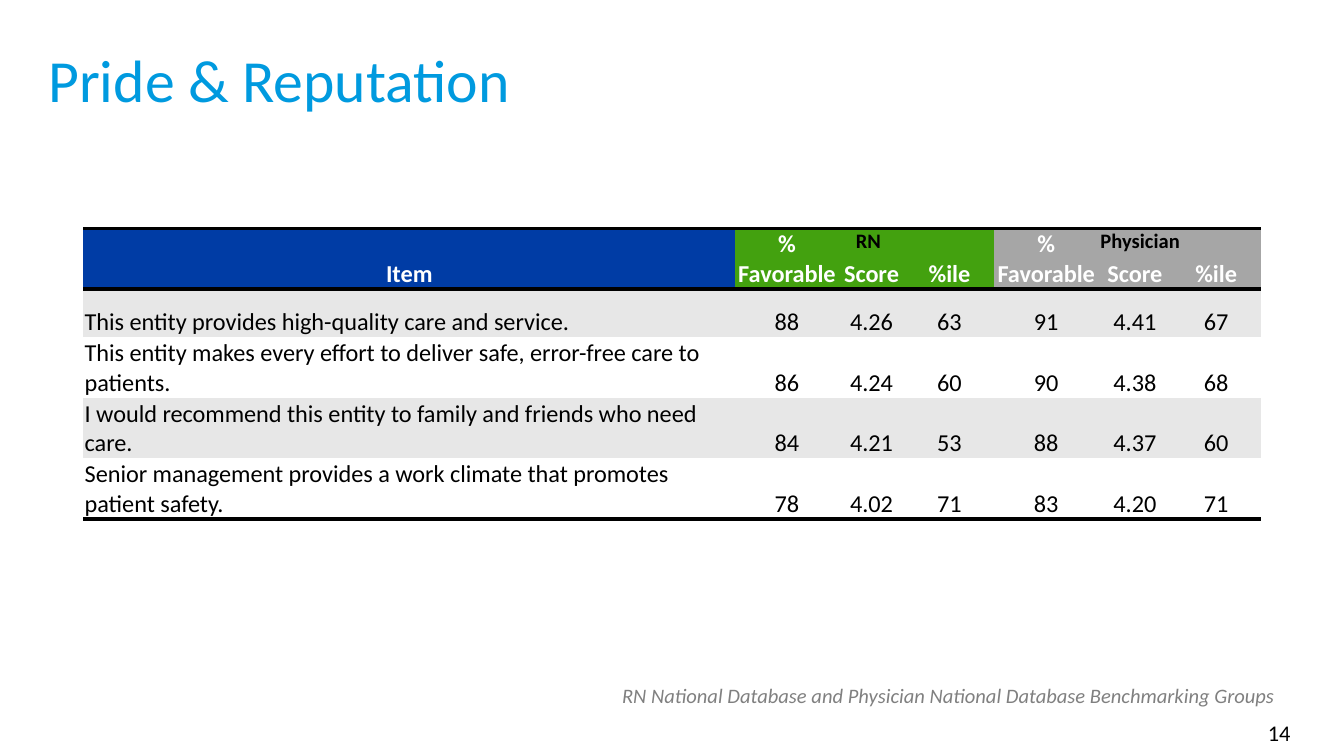
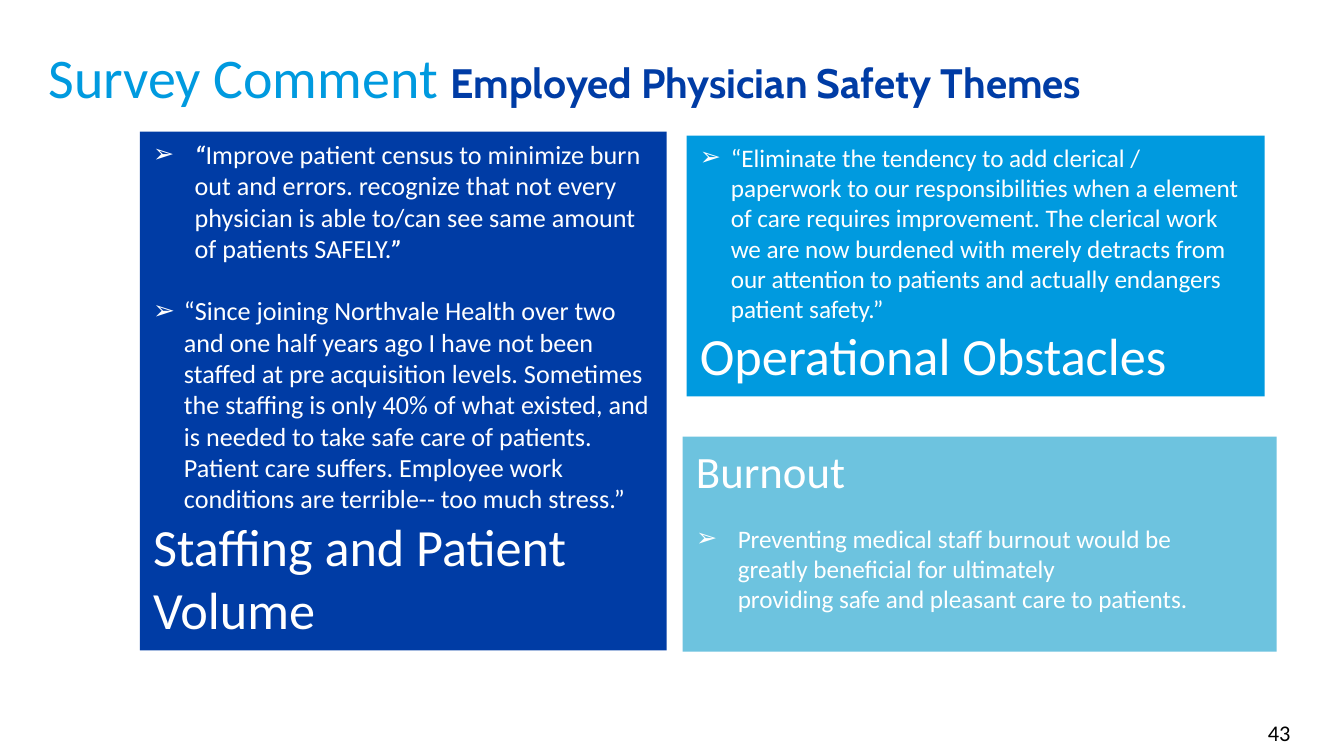
from dataclasses import dataclass
from typing import Any, NamedTuple

from lxml import etree
from pptx import Presentation
from pptx.dml.color import RGBColor
from pptx.enum.shapes import MSO_SHAPE
from pptx.enum.text import MSO_ANCHOR, MSO_AUTO_SIZE, PP_ALIGN
from pptx.oxml.ns import qn
from pptx.util import Emu, Pt

LEFT, MID, RIGHT = PP_ALIGN.LEFT, PP_ALIGN.CENTER, PP_ALIGN.RIGHT
TOP, BOTTOM = MSO_ANCHOR.TOP, MSO_ANCHOR.BOTTOM
RECT, FIXED = MSO_SHAPE.RECTANGLE, MSO_AUTO_SIZE.NONE
SCALE = 9144  # EMU per px, 100 px to the inch
WIDE = 1000
PLAIN = "{2D5ABB26-0587-4C30-8999-92F81FD0307C}"  # table style without grid
NB = chr(160)  # space that does not break


@dataclass(frozen=True)
class Theme:
    face: str = "Calibri"
    accent: str = "Cabin"
    mark: str = "Arial"
    navy: str = "003CA5"
    sky: str = "009ADF"
    pale: str = "6DC3DF"
    green: str = "43A10F"
    gray: str = "A6A6A6"
    band: str = "E7E7E7"
    dim: str = "808080"
    white: str = "FFFFFF"
    black: str = "000000"
    title: float = 32
    lead: float = 30
    theme: float = 22
    head: float = 28
    sub: float = 24
    quote: float = 14
    small: float = 13.5
    cell: float = 13
    page: float = 12
    note: float = 11
    rule: float = 2


T = Theme()


class Box(NamedTuple):
    x: int
    y: int
    w: int
    h: int


@dataclass(frozen=True)
class Bit:
    text: str
    size: float
    color: str = T.white
    bold: bool = False
    italic: bool = False
    face: str = T.face


@dataclass(frozen=True)
class Para:
    bits: tuple[Bit, ...]
    hang: int = 0
    gap: float = 0
    align: Any = LEFT


@dataclass(frozen=True)
class Panel:
    box: Box
    fill: str
    paras: tuple[Para, ...]


def px(n: int) -> Emu:
    return Emu(n * SCALE)


def line(text: str, size: float, color: str = T.white, align: Any = LEFT,
         bold: bool = False, italic: bool = False) -> Para:
    return Para((Bit(text, size, color, bold, italic),), align=align)


def paint(item: Any, color: str) -> None:
    item.fill.solid()
    item.fill.fore_color.rgb = RGBColor.from_string(color)


def bullet(para: Any, hang: int) -> None:
    props = para._p.get_or_add_pPr()
    props.set("marL", str(px(hang)))
    props.set("indent", str(-px(hang)))
    etree.SubElement(props, qn("a:buFont")).set("typeface", T.mark)
    etree.SubElement(props, qn("a:buChar")).set("char", "➢")


def write(frame: Any, paras: tuple[Para, ...]) -> None:
    for i, item in enumerate(paras):
        para = frame.add_paragraph() if i else frame.paragraphs[0]
        if item.hang:
            bullet(para, item.hang)
        para.alignment = item.align
        para.space_before = Pt(item.gap)
        for bit in item.bits:
            run = para.add_run()
            run.text = bit.text
            font = run.font
            font.name, font.size = bit.face, Pt(bit.size)
            font.bold, font.italic = bit.bold, bit.italic
            font.color.rgb = RGBColor.from_string(bit.color)


def fit(shape: Any, paras: tuple[Para, ...], wrap: bool = True) -> None:
    """Fill a shape's frame from the top, keeping the shape's size."""
    frame = shape.text_frame
    frame.auto_size, frame.word_wrap = FIXED, wrap
    frame.vertical_anchor = TOP
    write(frame, paras)


def place(shape: Any, box: Box) -> None:
    shape.left, shape.top, shape.width, shape.height = map(px, box)


def label(slide: Any, box: Box, para: Para, wrap: bool = True) -> None:
    fit(slide.shapes.add_textbox(*map(px, box)), (para,), wrap)


def start(deck: Any, layout: int, page: int, title: Para) -> Any:
    """Add a slide with the shared title and page number."""
    slide = deck.slides.add_slide(deck.slide_layouts[layout])
    label(slide, Box(848, 530, 122, 30), line(str(page), T.page, T.black, RIGHT))
    place(slide.shapes.title, Box(26, 27, 964, 72))
    fit(slide.shapes.title, (title,))
    return slide


def border(cell: Any, side: str) -> None:
    edge = etree.SubElement(cell._tc.get_or_add_tcPr(), qn(f"a:{side}"))
    edge.set("w", str(Pt(T.rule)))
    fill = etree.SubElement(edge, qn("a:solidFill"))
    etree.SubElement(fill, qn("a:srgbClr")).set("val", T.black)


WIDTHS = (485, 77, 49, 67, 77, 55, 66)
HEIGHTS = (42, 36, 22, 42, 42)
HEADS = ("Item",) + ("% Favorable", "Score", "%ile") * 2
TINTS = (T.navy,) + (T.green,) * 3 + (T.gray,) * 3
SCORES = (
    ("This entity provides high-quality care and service.",
     "88", "4.26", "63", "91", "4.41", "67"),
    ("This entity makes every effort to deliver safe, error-free care to patients.",
     "86", "4.24", "60", "90", "4.38", "68"),
    ("I would recommend this entity to family and friends who need care.",
     "84", "4.21", "53", "88", "4.37", "60"),
    ("Senior management provides a work climate that promotes patient safety.",
     "78", "4.02", "71", "83", "4.20", "71"),
)


def grid(slide: Any) -> None:
    rows = (HEADS,) + SCORES
    box = Box(62, 170, sum(WIDTHS), sum(HEIGHTS))
    frame = slide.shapes.add_table(len(rows), len(HEADS), *map(px, box))
    table = frame.table
    table.first_row = table.horz_banding = False
    next(frame.element.iter(qn("a:tableStyleId"))).text = PLAIN
    for col, width in zip(table.columns, WIDTHS):
        col.width = px(width)
    for row, height in zip(table.rows, HEIGHTS):
        row.height = px(height)
    for r, row in enumerate(rows):
        for c, text in enumerate(row):
            cell, head = table.cell(r, c), r == 0
            inset = px(2 if r and c > 3 else 1)
            cell.margin_left = cell.margin_right = cell.margin_top = inset
            cell.margin_bottom = 0
            cell.vertical_anchor = BOTTOM
            if head:
                border(cell, "lnT")
            if head or r == len(SCORES):
                border(cell, "lnB")
            paint(cell, TINTS[c] if head else T.band if r % 2 else T.white)
            write(cell.text_frame, (line(
                text, T.cell, T.white if head else T.black,
                MID if head or c else LEFT, bold=head),))


def pride(deck: Any) -> None:
    slide = start(deck, 5, 14, line("Pride & Reputation", T.title, T.sky))
    grid(slide)
    for text, box in (("RN", Box(627, 165, 48, 29)),
                      ("Physician", Box(809, 165, 80, 29))):
        label(slide, box, line(text, T.note, T.black, bold=True))
    label(slide, Box(453, 503, 522, 29), line(
        "RN National Database and Physician National Database Benchmarking Groups",
        T.note, T.dim, italic=True), wrap=False)


PANELS = (
    Panel(Box(104, 98, 392, 386), T.navy, (
        Para((
            Bit("“", T.small, bold=True, italic=True),
            Bit("Improve patient census to minimize burn out and errors. recognize "
                "that not every physician is able to/can see same amount of "
                f"patients{NB}SAFELY.", T.quote),
            Bit("”", T.small, bold=True, italic=True)), hang=31),
        Para((Bit(
            "“Since joining Northvale Health over two and one half years ago I have "
            "not been staffed at pre acquisition levels. Sometimes the staffing is "
            f"only 40% of what existed, and is needed to take{NB}safe{NB}care of "
            "patients. Patient care suffers. Employee work conditions are "
            "terrible-- too much stress.”", T.quote),), hang=23, gap=16.5),
        line("Staffing and Patient Volume", T.head))),
    Panel(Box(511, 101, 430, 194), T.sky, (
        Para((Bit(
            "“Eliminate the tendency to add clerical / paperwork to our "
            "responsibilities when a element of care requires improvement. The "
            "clerical work we are now burdened with merely detracts from our "
            f"attention to patients and actually endangers patient{NB}safety.”",
            T.small),), hang=23),
        line("Operational Obstacles", T.head))),
    Panel(Box(508, 325, 442, 160), T.pale, (line("Burnout", T.sub),)),
)


def survey(deck: Any) -> None:
    slide = start(deck, 1, 43, Para((
        Bit("Survey Comment ", T.lead, T.sky),
        Bit("Employed Physician Safety Themes", T.theme, T.navy, True,
            face=T.accent))))
    for panel in PANELS:
        shape = slide.shapes.add_shape(RECT, *map(px, panel.box))
        shape.shadow.inherit = False
        shape.line.fill.background()
        paint(shape, panel.fill)
        fit(shape, panel.paras)
    body = slide.placeholders[1]
    place(body, Box(508, 384, 392, 101))
    fit(body, (Para((Bit(
        "Preventing medical staff burnout would be greatly beneficial for "
        f"ultimately providing{NB}safe{NB}and pleasant care to patients.",
        T.small),), hang=31),))
    slide.shapes.element.append(body.element)  # bring in front of its panel


def main() -> None:
    deck = Presentation()
    deck.slide_width = px(WIDE)
    deck.slide_height = Emu(px(WIDE) * 9 // 16)
    pride(deck)
    survey(deck)
    deck.save("out.pptx")


if __name__ == "__main__":
    main()
